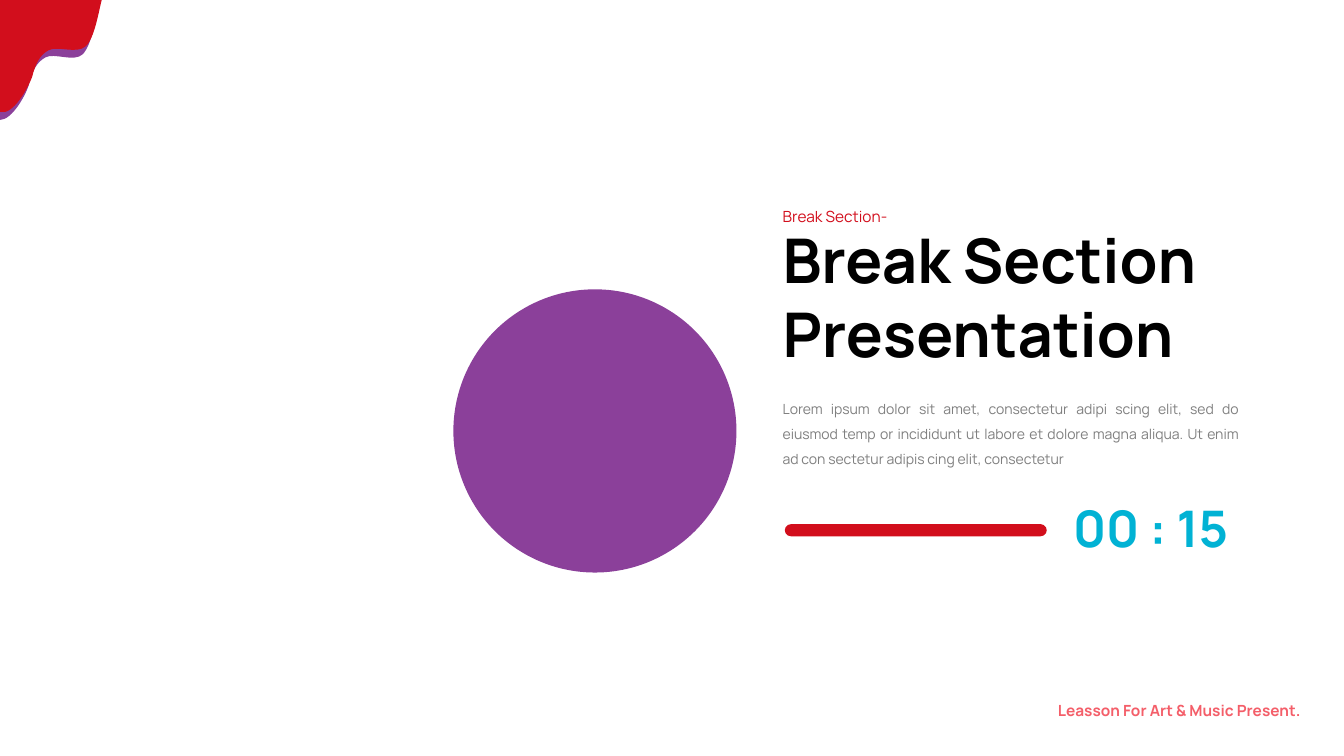
import lxml.etree
import pptx
import pptx.util
import pptx.dml.color
import pptx.enum.shapes
import pptx.enum.text
import pptx.oxml.ns

Inches = pptx.util.Inches
Align = pptx.enum.text.PP_ALIGN
Shape = pptx.enum.shapes.MSO_SHAPE
qualified = pptx.oxml.ns.qn

COLORS = {
    "purple": "8B409A",
    "red": "D20E1C",
    "coral": "F45E69",
    "black": "000000",
    "gray": "7F7F7F",
    "cyan": "01B2D4",
}

PURPLE_DRIP = [
    [(0.95, 0.18), (0.91, 0.45), (0.82, 0.54)],
    [(0.73, 0.62), (0.54, 0.52), (0.45, 0.57)],
    [(0.36, 0.62), (0.32, 0.71), (0.29, 0.83)],
    [(0.26, 0.94), (0.12, 1.19), (0, 1.19)],
]
RED_DRIP = [
    [(0.98, 0.11), (0.94, 0.38), (0.85, 0.46)],
    [(0.76, 0.54), (0.57, 0.45), (0.48, 0.5)],
    [(0.39, 0.55), (0.35, 0.64), (0.32, 0.76)],
    [(0.28, 0.87), (0.13, 1.15), (0, 1.11)],
]


class BreakSlide:
    font_name = "Manrope"

    def __init__(self, presentation):
        self.slide = presentation.slides.add_slide(presentation.slide_layouts[6])

    def color(self, name):
        return pptx.dml.color.RGBColor.from_string(COLORS[name])

    def paint(self, shape, color):
        shape.shadow.inherit = False
        shape.fill.solid()
        shape.fill.fore_color.rgb = self.color(color)
        shape.line.fill.background()

    def preset(self, kind, box, color):
        shape = self.slide.shapes.add_shape(kind, *map(Inches, box))
        self.paint(shape, color)
        return shape

    def drip(self, top, right, curves, color):
        corners = [(right, top)] + [curve[-1] for curve in curves]
        builder = self.slide.shapes.build_freeform(0, Inches(top), scale=1.0)
        builder.add_line_segments([(Inches(x), Inches(y)) for x, y in corners], close=True)
        shape = builder.convert_to_shape()
        segments = list(shape.element.iter(qualified("a:lnTo")))[1:len(corners)]
        for segment, curve in zip(segments, curves):
            bezier = lxml.etree.Element(qualified("a:cubicBezTo"))
            for x, y in curve:
                point = lxml.etree.SubElement(bezier, qualified("a:pt"))
                point.set("x", str(int(Inches(x))))
                point.set("y", str(int(Inches(y) - Inches(top))))
            segment.getparent().replace(segment, bezier)
        self.paint(shape, color)

    def text(self, box, content, size, color, bold=False, align=Align.LEFT, spacing=1.0):
        shape = self.slide.shapes.add_textbox(*map(Inches, box))
        frame = shape.text_frame
        frame.text = content
        frame.word_wrap = True
        frame.auto_size = pptx.enum.text.MSO_AUTO_SIZE.SHAPE_TO_FIT_TEXT
        for paragraph in frame.paragraphs:
            paragraph.alignment = align
            paragraph.line_spacing = spacing
            for run in paragraph.runs:
                run.font.name = self.font_name
                run.font.size = pptx.util.Pt(size)
                run.font.bold = bold
                run.font.color.rgb = self.color(color)


def main():
    presentation = pptx.Presentation()
    presentation.slide_width = Inches(13.34)
    presentation.slide_height = Inches(7.5)
    page = BreakSlide(presentation)

    page.preset(Shape.OVAL, (4.5, 2.87, 2.81, 2.81), "purple")
    page.drip(0.08, 0.98, PURPLE_DRIP, "purple")
    page.drip(0, 1.01, RED_DRIP, "red")

    page.text((9.26, 6.81, 3.75, 0.38), "Leasson For Art & Music Present.", 11, "coral",
              bold=True, align=Align.RIGHT, spacing=1.5)
    page.text((7.67, 2.15, 4.43, 1.57), "Break Section\nPresentation", 44, "black", bold=True)
    page.text((7.67, 1.91, 1.68, 0.38), "Break Section-", 11, "red",
              align=Align.JUSTIFY, spacing=1.5)
    page.text((7.67, 3.84, 4.72, 0.85),
              "Lorem ipsum dolor sit amet, consectetur adipi scing elit, sed do eiusmod temp "
              "or incididunt ut labore et dolore magna aliqua. Ut enim ad con sectetur adipis "
              "cing elit, consectetur",
              10, "gray", align=Align.JUSTIFY, spacing=1.5)
    page.text((9.88, 4.88, 2.41, 0.7), "00 : 15", 36, "cyan", bold=True, align=Align.RIGHT)

    timer_bar = page.preset(Shape.ROUNDED_RECTANGLE, (7.79, 5.2, 2.6, 0.12), "red")
    timer_bar.adjustments[0] = 0.5

    presentation.save("out.pptx")


if __name__ == "__main__":
    main()
